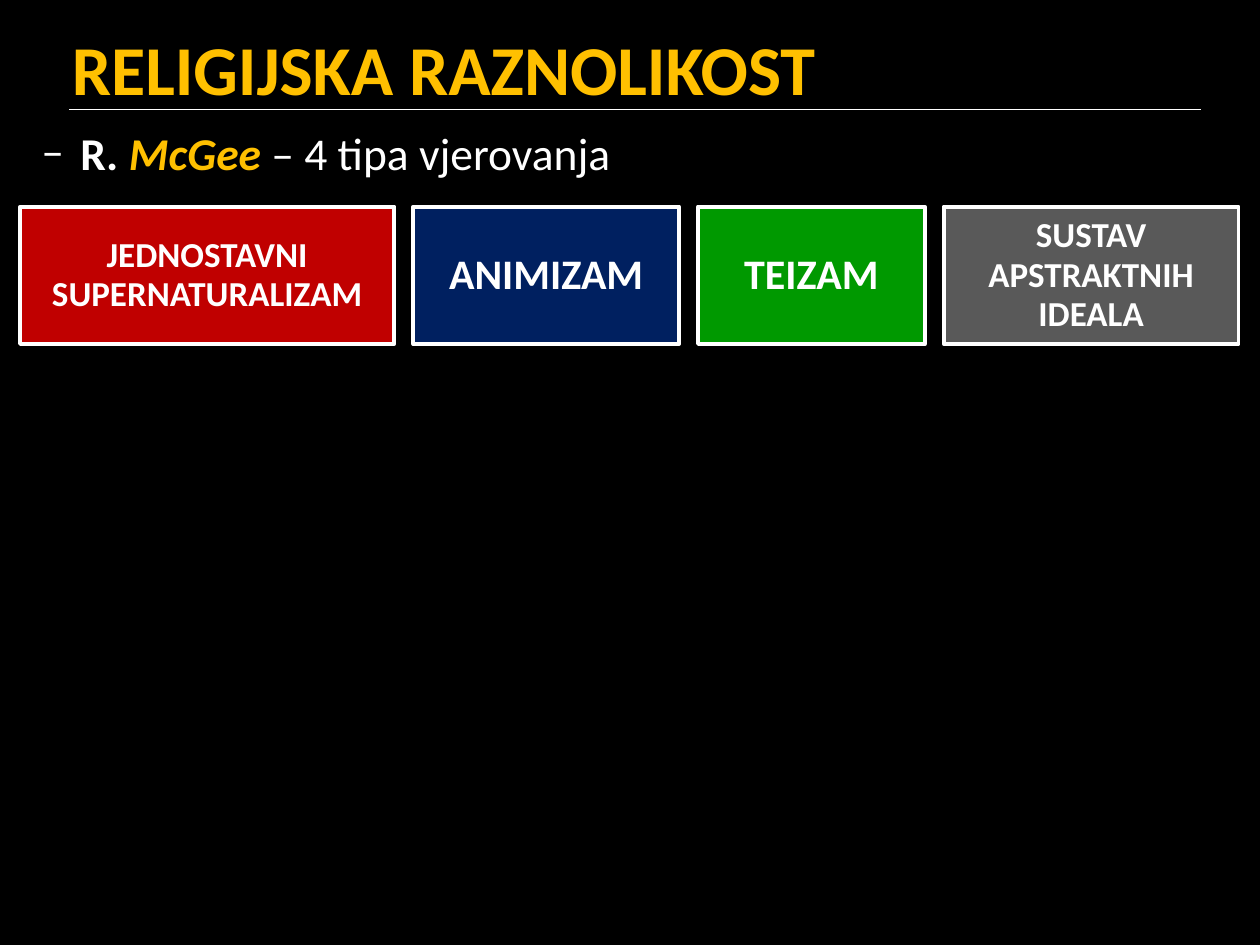
from dataclasses import dataclass

from lxml import etree
from pptx import Presentation
from pptx.dml.color import RGBColor
from pptx.enum import shapes, text
from pptx.oxml import ns
from pptx.util import Inches, Pt


@dataclass(frozen=True)
class Theme:
    font: str = "Calibri"
    background: str = "000000"
    ink: str = "FFFFFF"
    accent: str = "FFC000"
    title_size: int = 40
    lead_size: int = 26
    large: int = 24
    small: int = 20


THEME = Theme()


@dataclass(frozen=True)
class Belief:
    label: str
    width: float
    fill: str
    size: int


BELIEFS = [
    Belief("JEDNOSTAVNI SUPERNATURALIZAM", 2.97, "C00000", THEME.small),
    Belief("ANIMIZAM", 2.11, "002060", THEME.large),
    Belief("TEIZAM", 1.8, "009900", THEME.large),
    Belief("SUSTAV APSTRAKTNIH IDEALA", 2.34, "595959", THEME.small),
]
BELIEF_LEFT, BELIEF_TOP, BELIEF_HEIGHT, BELIEF_GAP = 0.16, 1.64, 1.09, 0.15


def rgb(value: str) -> RGBColor:
    return RGBColor.from_string(value)


def write(paragraph, wording: str, *, size: int, color: str = THEME.ink,
          bold: bool = True, italic: bool = False) -> None:
    run = paragraph.add_run()
    run.text = wording
    font = run.font
    font.name, font.size = THEME.font, Pt(size)
    font.bold, font.italic = bold, italic
    font.color.rgb = rgb(color)


def add_dash(paragraph, indent: float) -> None:
    props = paragraph._p.get_or_add_pPr()
    props.set("marL", str(Inches(indent)))
    props.set("indent", str(-Inches(indent)))
    bullet_color = etree.SubElement(props, ns.qn("a:buClr"))
    etree.SubElement(bullet_color, ns.qn("a:srgbClr"), val=THEME.ink)
    etree.SubElement(props, ns.qn("a:buFont"), typeface=THEME.font)
    etree.SubElement(props, ns.qn("a:buChar"), char="–")


def add_title(slide, wording: str) -> None:
    title = slide.shapes.title
    title.left, title.top = Inches(0.47), Inches(0.14)
    title.width, title.height = Inches(9.77), Inches(0.79)
    frame = title.text_frame
    frame.auto_size = text.MSO_AUTO_SIZE.NONE
    frame.vertical_anchor = text.MSO_ANCHOR.MIDDLE
    heading = frame.paragraphs[0]
    heading.alignment = text.PP_ALIGN.LEFT
    write(heading, wording, size=THEME.title_size, color=THEME.accent)


def add_rule(slide) -> None:
    rule = slide.shapes.add_connector(
        shapes.MSO_CONNECTOR.STRAIGHT,
        Inches(0.55), Inches(0.87), Inches(9.53), Inches(0.87))
    rule.line.color.rgb = rgb(THEME.ink)
    rule.line.width = Pt(1)
    etree.SubElement(rule._element.spPr, ns.qn("a:effectLst"))


def add_lead(slide) -> None:
    frame = slide.shapes.add_textbox(
        Inches(0.23), Inches(0.94), Inches(9.61), Inches(6.33)).text_frame
    frame.word_wrap = True
    lead = frame.paragraphs[0]
    add_dash(lead, 0.31)
    write(lead, "R. ", size=THEME.lead_size)
    write(lead, "McGee ", size=THEME.lead_size, color=THEME.accent, italic=True)
    write(lead, "– 4 tipa vjerovanja", size=THEME.lead_size, bold=False)


def add_belief(slide, belief: Belief, left: float) -> None:
    box = slide.shapes.add_shape(
        shapes.MSO_SHAPE.RECTANGLE, Inches(left), Inches(BELIEF_TOP),
        Inches(belief.width), Inches(BELIEF_HEIGHT))
    box.shadow.inherit = False
    box.fill.solid()
    box.fill.fore_color.rgb = rgb(belief.fill)
    box.line.color.rgb = rgb(THEME.ink)
    box.line.width = Pt(2.25)
    frame = box.text_frame
    frame.word_wrap = True
    frame.vertical_anchor = text.MSO_ANCHOR.MIDDLE
    label = frame.paragraphs[0]
    label.alignment = text.PP_ALIGN.CENTER
    label.line_spacing = 0.93
    write(label, belief.label, size=belief.size)


def main() -> None:
    deck = Presentation()
    deck.slide_width, deck.slide_height = Inches(10), Inches(7.5)
    slide = deck.slides.add_slide(deck.slide_layouts[5])
    slide.background.fill.solid()
    slide.background.fill.fore_color.rgb = rgb(THEME.background)

    add_rule(slide)
    add_title(slide, "RELIGIJSKA RAZNOLIKOST")
    add_lead(slide)
    left = BELIEF_LEFT
    for belief in BELIEFS:
        add_belief(slide, belief, left)
        left += belief.width + BELIEF_GAP

    deck.save("out.pptx")


if __name__ == "__main__":
    main()
